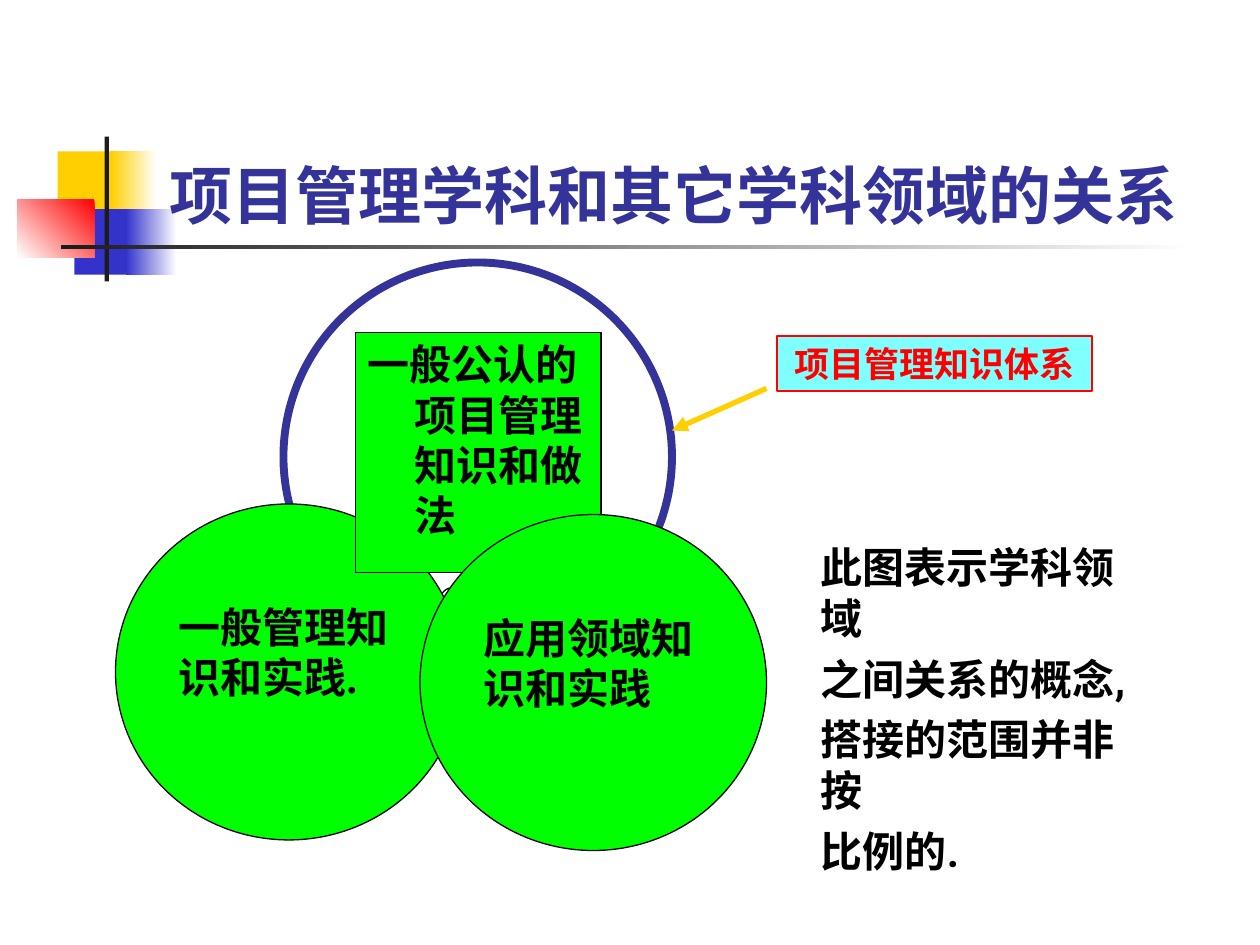
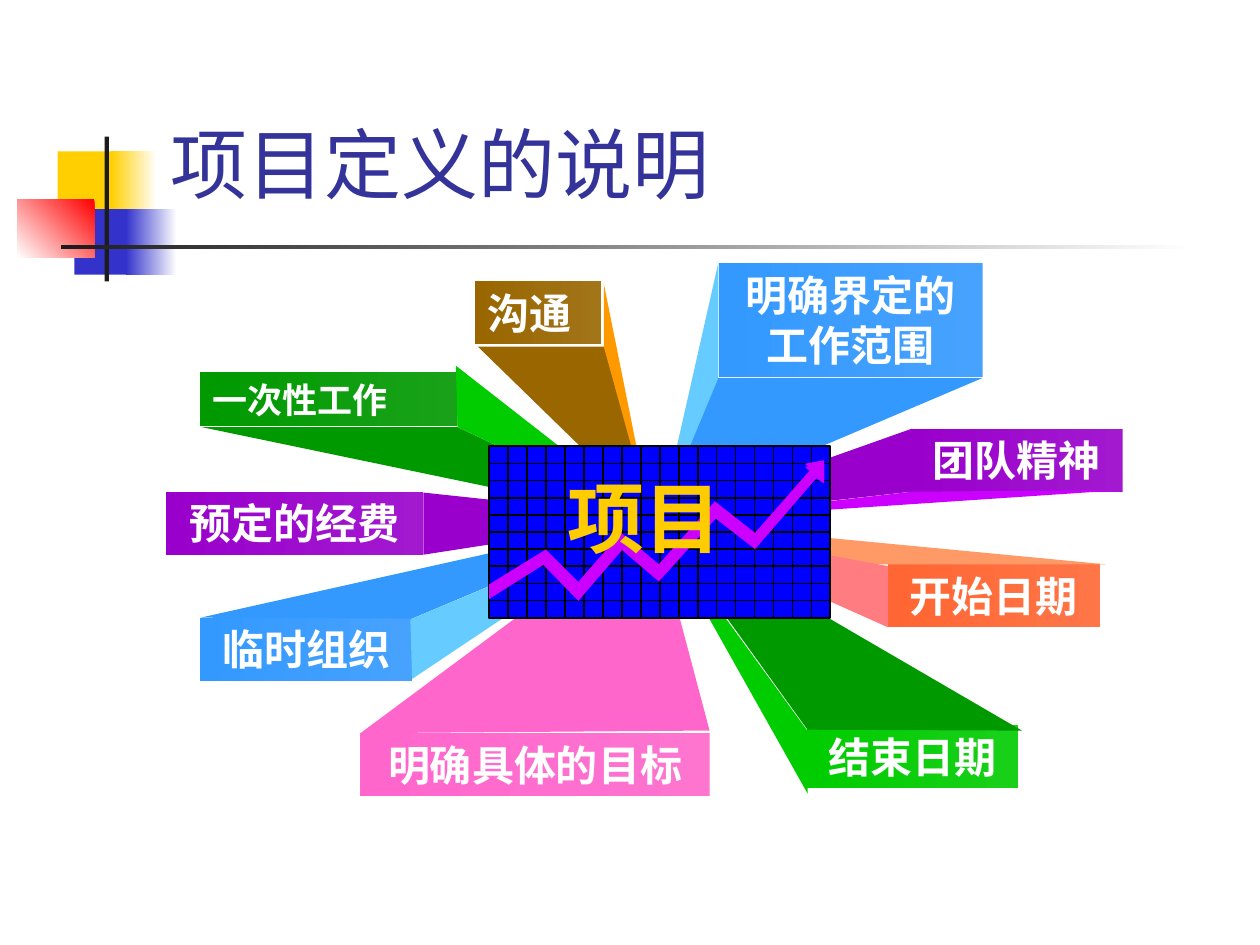
from dataclasses import dataclass

from lxml.etree import SubElement as sub
from pptx import Presentation
from pptx.dml.color import RGBColor as Rgb
from pptx.enum.shapes import MSO_CONNECTOR as Link, MSO_SHAPE as Kind
from pptx.enum.text import MSO_ANCHOR as Anchor, PP_ALIGN as Align
from pptx.oxml.ns import qn
from pptx.util import Pt


@dataclass(frozen=True)
class Theme:
    navy: str = "333399"
    gold: str = "FFCF01"
    blue: str = "3333CC"
    dark: str = "1C1C1C"
    red: str = "FF0000"
    cyan: str = "00FFFF"
    lime: str = "00FF00"
    white: str = "FFFFFF"
    black: str = "000000"
    panel: str = "0000FF"
    amber: str = "FFCC00"
    brown: str = "996600"
    orange: str = "FF9900"
    sky: str = "3399FF"
    pale: str = "66CCFF"
    plum: str = "9900CC"
    violet: str = "CC00FF"
    green: str = "009900"
    leaf: str = "00CC00"
    pink: str = "FF66CC"
    coral: str = "FF6633"
    peach: str = "FF9966"
    rose: str = "FF7C80"
    serif: str = "Times New Roman"
    sans: str = "Noto Sans CJK SC"
    asian: str = "Lato"
    huge: int = 44
    large: int = 36
    body: int = 24
    small: int = 20


T = Theme()


def paint(item, fill=None, line=None, width=0.75):
    """Fill with a colour or (start, end, clockwise angle), set the outline, drop the shadow."""
    if isinstance(fill, tuple):
        start, end, angle = fill
        item.fill.gradient()
        item.fill.gradient_angle = 360 - angle
        for stop, tone in zip(item.fill.gradient_stops, (start, end)):
            stop.color.rgb = Rgb.from_string(tone)
    elif fill:
        item.fill.solid()
        item.fill.fore_color.rgb = Rgb.from_string(fill)
    if line:
        item.line.color.rgb = Rgb.from_string(line)
        item.line.width = Pt(width)
    else:
        item.line.fill.background()
    sub(item._element.spPr, qn("a:effectLst"))
    return item


def write(item, text, font=T.serif, size=T.body, color=T.black, bold=True, align=Align.LEFT,
          anchor=Anchor.TOP, wrap=True, top=3.6, before=0, hang=0):
    frame = item.text_frame
    frame.word_wrap = wrap
    frame.vertical_anchor = anchor
    frame.margin_left = frame.margin_right = Pt(7.2)
    frame.margin_top, frame.margin_bottom = Pt(top), Pt(3.6)
    for i, row in enumerate(text.split("\n")):
        para = frame.add_paragraph() if i else frame.paragraphs[0]
        para.alignment = align
        if i:
            para.space_before = Pt(before)
        if hang:
            props = para._p.get_or_add_pPr()
            props.set("marL", str(Pt(hang)))
            props.set("indent", str(-Pt(hang)))
        run = para.add_run()
        run.text = row
        run.font.name, run.font.size, run.font.bold = font, Pt(size), bold
        run.font.color.rgb = Rgb.from_string(color)
        sub(run._r.get_or_add_rPr(), qn("a:ea"), typeface=T.asian)


deck = Presentation()
deck.slide_width, deck.slide_height = Pt(720), Pt(540)

# Shared marks and titles
marks = [
    ((33, 86.5, 34.5, 37.5), T.gold),
    ((63.5, 86.5, 26, 37.5), (T.white, T.gold, 180)),
    ((42.5, 119.5, 33, 37.5), T.blue),
    ((72, 119.5, 29, 37.5), (T.white, T.blue, 180)),
    ((10, 114, 44, 33), (T.red, T.white, 135)),
    ((59.8, 78, 2.5, 82.8), T.dark),
    ((34.8, 140, 648, 2.5), (T.white, T.dark, 180)),
]
heads = [
    ("项目管理学科和其它学科领域的关系", (90, 66, 612, 90), T.sans, T.large, True),
    ("项目定义的说明", (90.5, 48, 613.5, 90), "Lato", T.huge, False),
]
pages = []
for text, box, font, size, bold in heads:
    page = deck.slides.add_slide(deck.slide_layouts[6]).shapes
    pages.append(page)
    for spot, fill in marks:
        paint(page.add_shape(Kind.RECTANGLE, *map(Pt, spot)), fill)
    write(page.add_textbox(*map(Pt, box)), text, font=font, size=size, bold=bold,
          color=T.navy, anchor=Anchor.MIDDLE)
field, project = pages

# Fields of knowledge
paint(field.add_shape(Kind.OVAL, *map(Pt, (162, 150, 222, 222))), T.white, T.navy, 4.5)
arc = field.add_shape(Kind.ARC, *map(Pt, (252, 336, 12, 12)))
arc.adjustments[0], arc.adjustments[1] = 108, 162
arc.fill.background()
paint(arc, line=T.black)

arrow = field.add_connector(Link.STRAIGHT, *map(Pt, (438, 222, 384, 246)))
paint(arrow, line=T.gold, width=3)
sub(arrow._element.spPr.find(qn("a:ln")), qn("a:tailEnd"), type="triangle")

label = field.add_shape(Kind.RECTANGLE, *map(Pt, (444, 192, 180, 31.5)))
paint(label, T.cyan, T.red)
sub(label._element.spPr.find(".//" + qn("a:srgbClr")), qn("a:alpha"), val="50000")
write(label, "项目管理知识体系", font="Montserrat", size=T.small, color=T.red, align=Align.CENTER)

areas = [
    (Kind.OVAL, (66, 288, 198, 192), "一般管理知识和实践.", dict(top=27.6)),
    (Kind.RECTANGLE, (203, 190, 140.5, 137), "一般公认的项目管理知识和做法",
     dict(font="Lato", hang=27)),
    (Kind.OVAL, (240, 294, 198, 192), "应用领域知识和实践", dict(top=27.6)),
]
for kind, box, text, style in areas:
    area = paint(field.add_shape(kind, *map(Pt, box)), T.lime, T.black)
    write(area, text, **style)

note = field.add_textbox(*map(Pt, (462, 306, 206, 140.5)))
write(note, "此图表示学科领域\n之间关系的概念,\n搭接的范围并非按\n比例的.",
      font="Roboto Condensed", wrap=False, before=6)

# Traits around the project
traits = [
    ("沟通", (271.5, 160.5, 72, 36), T.brown, T.body, Align.LEFT),
    ("明确界定的\n工作范围", (411, 150.5, 150.5, 65), T.sky, T.body, Align.CENTER),
    ("预定的经费", (95, 281, 147, 36), T.plum, T.body, Align.CENTER),
    ("一次性工作", (114.5, 212.5, 147, 31), T.green, T.small, Align.LEFT),
    ("临时组织", (114.5, 353, 121, 36), T.sky, T.body, Align.CENTER),
    ("明确具体的目标", (206, 419, 199.5, 36), T.pink, T.body, Align.CENTER),
    ("团队精神", (520.5, 245, 121, 36), T.plum, T.body, Align.CENTER),
    ("开始日期", (507.5, 322.5, 121, 36), T.coral, T.body, Align.CENTER),
    ("结束日期", (461, 414.5, 121, 36), T.leaf, T.body, Align.CENTER),
]
for text, box, tone, size, align in traits:
    tint = str(Rgb(*(round(25 + 0.898 * part) for part in Rgb.from_string(tone))))
    trait = paint(project.add_shape(Kind.RECTANGLE, *map(Pt, box)), (tint, tone, 180))
    write(trait, text, size=size, color=T.white, align=align)

# Beams from the traits to the centre, then the trend arrow
beams = [
    (T.brown, [(273, 198), (348.5, 198), (371.5, 294)]),
    (T.orange, [(345, 162), (345, 198), (371.5, 294)]),
    (T.pale, [(410.5, 150), (410.5, 216), (378, 294)]),
    (T.sky, [(410.5, 216), (561.5, 216), (378, 294)]),
    (T.plum, [(521, 245), (521, 281), (373, 297.5)]),
    (T.violet, [(641.5, 280), (521, 281), (373, 298)]),
    (T.peach, [(632, 322.5), (476.5, 322.5), (374.5, 298)]),
    (T.rose, [(507.5, 323.5), (507.5, 358.5), (374.5, 299)]),
    (T.green, [(115, 244), (261.5, 244), (374.5, 298)]),
    (T.leaf, [(260.5, 209), (261.5, 244), (374.5, 298)]),
    (T.plum, [(242, 281.5), (242, 317), (377.5, 296)]),
    (T.sky, [(114.5, 353), (235.5, 353.5), (374.5, 295)]),
    (T.pale, [(234.5, 354), (235.5, 388), (373, 296)]),
    (T.pink, [(206, 419), (405.5, 417.5), (373, 295)]),
    (T.leaf, [(461.5, 453.5), (462, 418.5), (373, 296)]),
    (T.green, [(584, 417.5), (461.5, 417), (373.5, 295)]),
]
trend = [
    (279.5, 334), (312, 314), (330.5, 332.5), (355, 304.5), (376.5, 322.5), (408.5, 286.5),
    (431.5, 304.5), (463.5, 268), (460, 265), (471, 263), (471, 274.5), (466.5, 271.5),
    (431.5, 312), (409, 294.5), (376.5, 330.5), (355.5, 312.5), (330.5, 341.5),
    (310.5, 321), (279.5, 340.5),
]
left, top, wide, high = 279.5, 255, 195, 98
cols, rows = 18, 10
lines = [(left + wide * i / cols, top, left + wide * i / cols, top + high)
         for i in range(1, cols)]
lines += [(left, top + high * i / rows, left + wide, top + high * i / rows)
          for i in range(1, rows)]
trends = [(T.violet, [(x, y + drop) for x, y in trend]) for drop in (1.8, 0)]

for layer in (beams, trends):
    for tone, spots in layer:
        first, *rest = [(Pt(x), Pt(y)) for x, y in spots]
        pen = project.build_freeform(*first)
        pen.add_line_segments(rest)
        paint(pen.convert_to_shape(), tone)
    if layer is beams:
        paint(project.add_shape(Kind.RECTANGLE, *map(Pt, (left, top, wide, high))),
              T.panel, T.black, 1)
        for ends in lines:
            paint(project.add_connector(Link.STRAIGHT, *map(Pt, ends)), line=T.black, width=1)

core = project.add_textbox(*map(Pt, (317.5, 265.5, 103, 60)))
write(core, "项目", font=T.sans, size=T.huge, color=T.amber, wrap=False)

deck.save("out.pptx")
